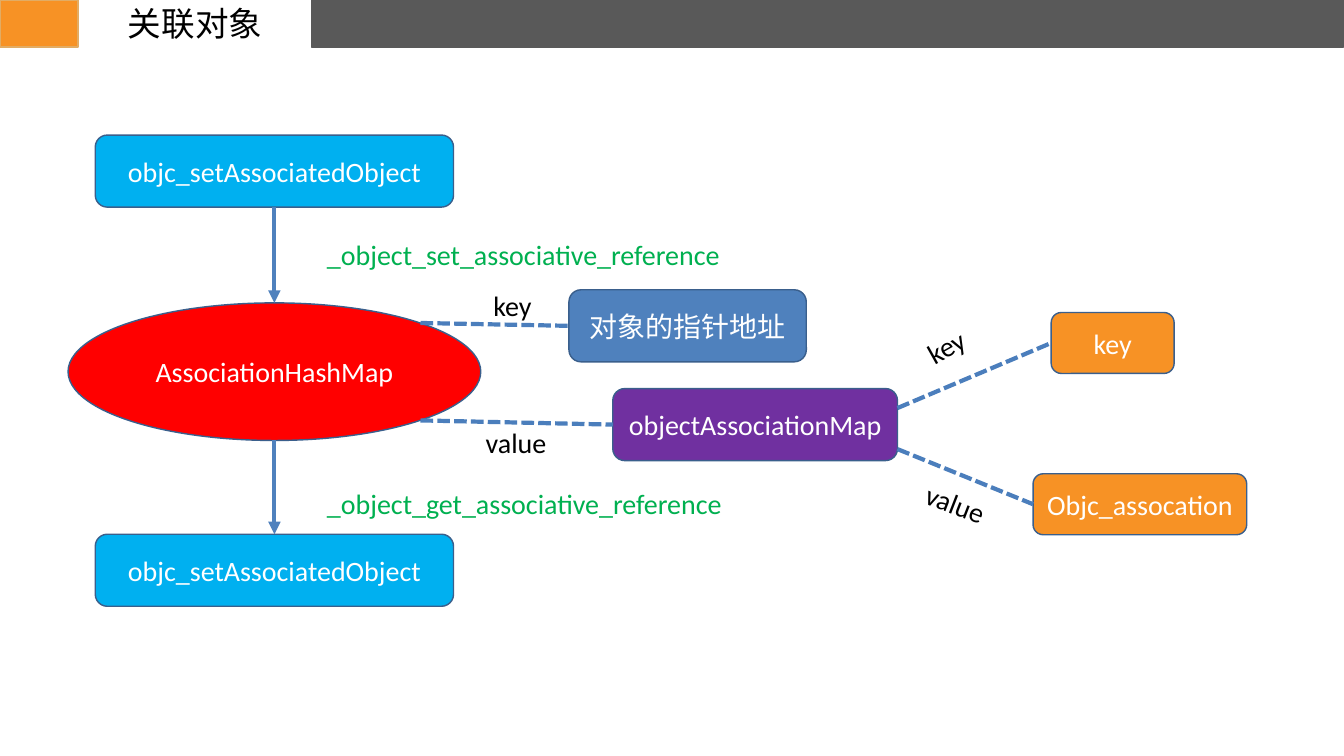
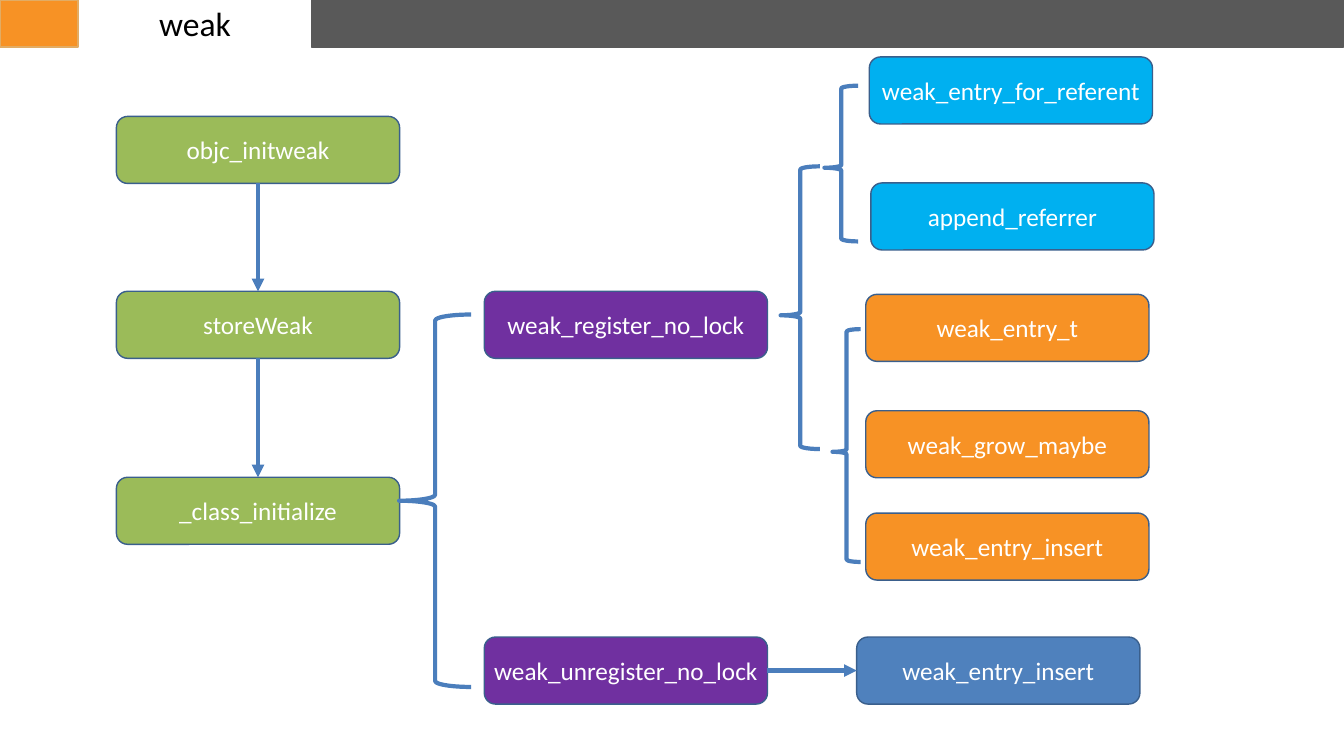
"""Build two diagram slides on Objective-C runtime: associated objects and weak references."""
import pptx
import pptx.util
import pptx.dml.color
import pptx.enum.dml
import pptx.enum.shapes
import pptx.enum.text
import pptx.oxml.ns
import lxml.etree

Inches = pptx.util.Inches
SHAPE = pptx.enum.shapes.MSO_SHAPE
FONT = "Calibri"
WHITE, BLACK, GRAY, ORANGE, SAND = "FFFFFF", "000000", "595959", "F79225", "E2AC64"
CYAN, RED, PURPLE, GREEN, OLIVE = "00B0F0", "FF0000", "7030A0", "00B050", "9BBB59"
BLUE, LINK_BLUE, OUTLINE = "4F81BD", "4B7EBC", "3A5F8C"
TOP, LEFT, BOTTOM, RIGHT = (0.5, 0), (0, 0.5), (0.5, 1), (1, 0.5)
ARC_TOP_RIGHT, ARC_BOTTOM_RIGHT = (0.854, 0.146), (0.854, 0.854)
NODE_WIDTH, NODE_HEIGHT = 5.62, 1.33

ASSOCIATION = {
    "title": "关联对象",
    "size": 40,
    "nodes": {
        "setter": ("objc_setAssociatedObject", CYAN, (1.89, 2.68, 7.11, 1.43)),
        "hash map": ("AssociationHashMap", RED, (1.35, 6.01, 8.19, 2.73)),
        "getter": ("objc_setAssociatedObject", CYAN, (1.89, 10.6, 7.11, 1.43)),
        "pointer": ("对象的指针地址", BLUE, (11.29, 5.75, 4.71, 1.43)),
        "object map": ("objectAssociationMap", PURPLE, (12.16, 7.71, 5.65, 1.43)),
        "key": ("key", ORANGE, (20.86, 6.2, 2.44, 1.21)),
        "association": ("Objc_assocation", ORANGE, (20.5, 9.4, 4.24, 1.21)),
    },
    "ellipses": ["hash map"],
    "arrows": [
        ("setter", BOTTOM, "hash map", TOP, BLUE),
        ("hash map", BOTTOM, "getter", TOP, BLUE),
    ],
    "dashes": [
        ("hash map", ARC_TOP_RIGHT, "pointer", LEFT),
        ("hash map", ARC_BOTTOM_RIGHT, "object map", LEFT),
        ("object map", (1, 0.27), "key", LEFT),
        ("object map", (1, 0.84), "association", LEFT),
    ],
    "labels": [
        ("_object_set_associative_reference", GREEN, (6.39, 4.67, 9.18, 0.77), 0),
        ("_object_get_associative_reference", GREEN, (6.39, 9.61, 9.18, 0.77), 0),
        ("key", BLACK, (9.69, 5.68, 1.46, 0.77), 0),
        ("value", BLACK, (9.54, 8.39, 1.46, 0.77), 0),
        ("key", BLACK, (18.26, 6.37, 1.46, 0.77), 330.8),
        ("value", BLACK, (18.26, 9.62, 1.46, 0.77), 21.2),
    ],
    "braces": [],
}


def node_at(left, top):
    return left, top, NODE_WIDTH, NODE_HEIGHT


WEAK = {
    "title": "weak",
    "size": 36,
    "nodes": {
        "init": ("objc_initweak", OLIVE, node_at(2.31, 2.31)),
        "store": ("storeWeak", OLIVE, node_at(2.31, 5.78)),
        "initialize": ("_class_initialize", OLIVE, node_at(2.31, 9.47)),
        "unregister": ("weak_unregister_no_lock", PURPLE, node_at(9.61, 12.64)),
        "register": ("weak_register_no_lock", PURPLE, node_at(9.61, 5.78)),
        "find": ("weak_entry_for_referent", CYAN, node_at(17.25, 1.13)),
        "append": ("append_referrer", CYAN, node_at(17.28, 3.63)),
        "entry": ("weak_entry_t", ORANGE, node_at(17.18, 5.84)),
        "grow": ("weak_grow_maybe", ORANGE, node_at(17.18, 8.15)),
        "insert": ("weak_entry_insert", ORANGE, node_at(17.18, 10.18)),
        "remove": ("weak_entry_insert", BLUE, node_at(17, 12.64)),
    },
    "ellipses": [],
    "arrows": [
        ("init", BOTTOM, "store", TOP, LINK_BLUE),
        ("store", BOTTOM, "initialize", TOP, LINK_BLUE),
        ("unregister", RIGHT, "remove", LEFT, LINK_BLUE),
    ],
    "dashes": [],
    "labels": [],
    "braces": [
        ((7.92, 6.24, 1.43, 7.39), 0.5),
        ((16.52, 6.53, 0.56, 4.62), 0.527),
        ((16.36, 1.7, 0.67, 3.09), 0.527),
        ((15.49, 3.3, 0.78, 5.61), 0.527),
    ],
}


def color(value):
    return pptx.dml.color.RGBColor.from_string(value)


def lengths(values):
    return [Inches(value) for value in values]


def set_line(line, value, width):
    line.color.rgb = color(value)
    line.width = pptx.util.Pt(width)


def write(box, text, size, value, centered=True, middle=True):
    frame = box.text_frame
    frame.text = text
    frame.word_wrap = True
    anchor = pptx.enum.text.MSO_ANCHOR
    frame.vertical_anchor = anchor.MIDDLE if middle else anchor.TOP
    para = frame.paragraphs[0]
    align = pptx.enum.text.PP_ALIGN
    para.alignment = align.CENTER if centered else align.LEFT
    font = para.runs[0].font
    font.name = FONT
    font.size = pptx.util.Pt(size)
    font.color.rgb = color(value)


def add_shape(page, kind, place, fill, outline, width=2):
    shape = page.shapes.add_shape(kind, *lengths(place))
    shape.shadow.inherit = False
    if fill:
        shape.fill.solid()
        shape.fill.fore_color.rgb = color(fill)
    else:
        shape.fill.background()
    set_line(shape.line, outline, width)
    return shape


def add_label(page, text, value, place, size, rotation=0, centered=False):
    box = page.shapes.add_textbox(*lengths(place))
    write(box, text, size, value, centered, centered)
    box.rotation = rotation


def point_on(place, fraction):
    left, top, width, height = place
    return left + width * fraction[0], top + height * fraction[1]


def add_link(page, start, end, value, arrow):
    kind = pptx.enum.shapes.MSO_CONNECTOR.STRAIGHT
    link = page.shapes.add_connector(kind, *lengths(start + end))
    set_line(link.line, value, 6)
    qualify = pptx.oxml.ns.qn
    if arrow:
        tail = lxml.etree.SubElement(link.line._get_or_add_ln(), qualify("a:tailEnd"))
        tail.set("type", "triangle")
    else:
        link.line.dash_style = pptx.enum.dml.MSO_LINE.SQUARE_DOT
    lxml.etree.SubElement(link._element.spPr, qualify("a:effectLst"))


def add_header(page, title):
    add_shape(page, SHAPE.RECTANGLE, (6.18, 0, 20.48, 0.93), GRAY, GRAY)
    add_shape(page, SHAPE.RECTANGLE, (0, 0, 1.55, 0.93), ORANGE, SAND)
    add_label(page, title, BLACK, (1.35, 0, 5.04, 0.91), 48, centered=True)


def add_diagram(deck, diagram):
    page = deck.slides.add_slide(deck.slide_layouts[6])
    add_header(page, diagram["title"])
    nodes = diagram["nodes"]
    for name, (text, fill, place) in nodes.items():
        kind = SHAPE.OVAL if name in diagram["ellipses"] else SHAPE.ROUNDED_RECTANGLE
        write(add_shape(page, kind, place, fill, OUTLINE), text, diagram["size"], WHITE)
    links = [(*link, True) for link in diagram["arrows"]]
    links += [(*link, LINK_BLUE, False) for link in diagram["dashes"]]
    for source, start, target, end, value, arrow in links:
        start_point = point_on(nodes[source][2], start)
        end_point = point_on(nodes[target][2], end)
        add_link(page, start_point, end_point, value, arrow)
    for place, tip in diagram["braces"]:
        brace = add_shape(page, SHAPE.LEFT_BRACE, place, None, LINK_BLUE, 6)
        brace.adjustments[0] = 0.083
        brace.adjustments[1] = tip
    for text, value, place, rotation in diagram["labels"]:
        add_label(page, text, value, place, diagram["size"], rotation)


deck = pptx.Presentation()
deck.slide_width, deck.slide_height = lengths((26.67, 15))
for diagram in (ASSOCIATION, WEAK):
    add_diagram(deck, diagram)
deck.save("out.pptx")
